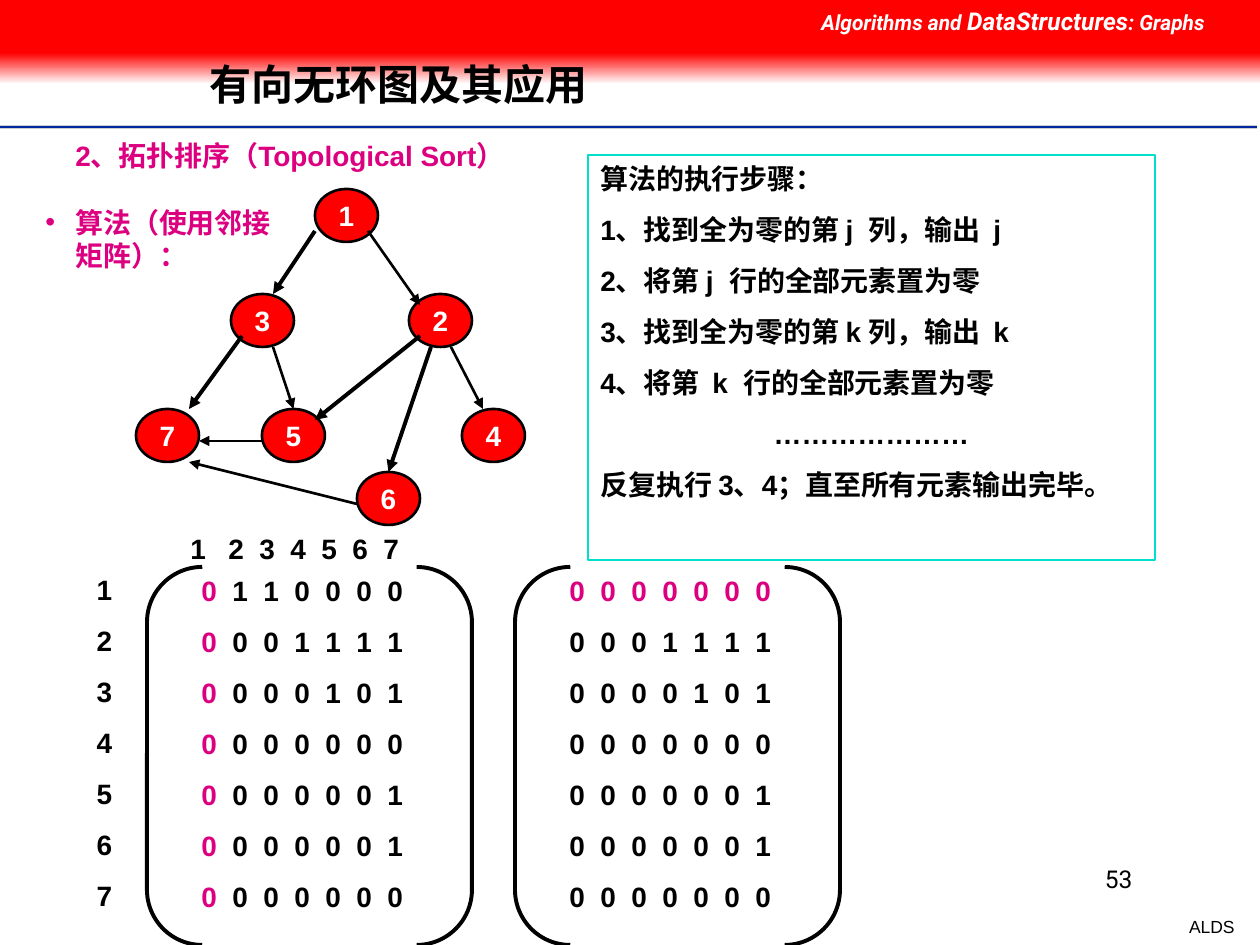
"""Build the topological sort slide with its graph, steps and adjacency matrices."""
from dataclasses import dataclass

from lxml.etree import SubElement
from pptx import Presentation
from pptx.dml.color import RGBColor
from pptx.enum.shapes import MSO_CONNECTOR, MSO_SHAPE
from pptx.enum.text import MSO_ANCHOR, PP_ALIGN
from pptx.oxml.ns import qn
from pptx.util import Pt

PX = 914400 // 126


@dataclass(frozen=True)
class Theme:
    red: str = "FF0000"
    pink: str = "DC0081"
    black: str = "000000"
    white: str = "FFFFFF"
    blue: str = "00279F"
    grey: str = "CECECE"
    teal: str = "00DFCA"
    title: int = 24
    body: int = 16
    page: int = 14
    header: int = 12
    footer: int = 10
    sans: str = "Arial"
    display: str = "Roboto"


theme = Theme()


def style(target, values):
    for name, value in values.items():
        setattr(target, name, value)


def write(box, lines, frame_format, para_format, font_format, tabs=(), bullet=None):
    frame = box.text_frame
    style(frame, frame_format)
    for number, line in enumerate(lines):
        para = frame.add_paragraph() if number else frame.paragraphs[0]
        style(para, para_format)
        if number:
            para.space_before = Pt(10)
        properties = para._p.get_or_add_pPr()
        if bullet:
            properties.set("marL", str(63 * PX))
            properties.set("indent", str(bullet["indent"] * PX))
            if bullet["mark"]:
                color = SubElement(properties, qn("a:buClr"))
                SubElement(color, qn("a:srgbClr"), val=theme.pink)
                SubElement(properties, qn("a:buFont"), typeface=theme.sans)
                SubElement(properties, qn("a:buChar"), char=bullet["mark"])
        if tabs:
            stops = SubElement(properties, qn("a:tabLst"))
            for stop in tabs:
                SubElement(stops, qn("a:tab"), pos=str(stop * PX), algn="l")
        for text, size, color in line:
            span = para.add_run()
            span.text = text
            style(span.font, {"size": Pt(size), **font_format})
            span.font.color.rgb = RGBColor.from_string(color)


deck = Presentation()
style(deck, {"slide_width": 1260 * PX, "slide_height": 945 * PX})
page = deck.slides.add_slide(deck.slide_layouts[5])

bold = {"name": theme.sans, "bold": True}
wrapped = {"word_wrap": True, "vertical_anchor": MSO_ANCHOR.TOP}
centred = {"word_wrap": False, "vertical_anchor": MSO_ANCHOR.MIDDLE}
left = {"alignment": PP_ALIGN.LEFT}
right = {"alignment": PP_ALIGN.RIGHT}
center = {"alignment": PP_ALIGN.CENTER}

node_places = {
    "1": (315, 189), "3": (231, 294), "2": (409, 294), "7": (136, 409),
    "5": (262, 409), "6": (357, 472), "4": (462, 409),
}
shape_rows = [
    ("fade", MSO_SHAPE.RECTANGLE, (0, 53, 1260, 31), theme.red, None, 0),
    ("band", MSO_SHAPE.RECTANGLE, (0, 0, 1260, 53), theme.red, None, 0),
    ("panel", MSO_SHAPE.RECTANGLE, (588, 155, 567, 405), theme.white, theme.teal, 0.75),
    ("first matrix", MSO_SHAPE.DOUBLE_BRACKET, (147, 567, 325, 378), None, theme.black, 2.25),
    ("second matrix", MSO_SHAPE.DOUBLE_BRACKET, (515, 567, 325, 378), None, theme.black, 2.25),
] + [
    (name, MSO_SHAPE.OVAL, (*place, 63, 53), theme.red, theme.black, 1.5)
    for name, place in node_places.items()
]
shapes = {}
for name, kind, place, fill, line, weight in shape_rows:
    shape = page.shapes.add_shape(kind, *[value * PX for value in place])
    shape.shadow.inherit = False
    if fill:
        shape.fill.solid()
        shape.fill.fore_color.rgb = RGBColor.from_string(fill)
    else:
        shape.fill.background()
    if line:
        shape.line.color.rgb = RGBColor.from_string(line)
        shape.line.width = Pt(weight)
    else:
        shape.line.fill.background()
    if kind == MSO_SHAPE.DOUBLE_BRACKET:
        shape.adjustments[0] = 0.17
    shapes[name] = shape

fade = shapes["fade"].fill
fade.gradient()
fade.gradient_angle = 270
for stop, color in zip(fade.gradient_stops, (theme.red, theme.white)):
    stop.color.rgb = RGBColor.from_string(color)

for name in node_places:
    write(shapes[name], [[(name, theme.body, theme.white)]], centred, center, bold)

line_rows = [
    ((0, 127, 1257, 127), theme.grey, 2, False, None),
    ((0, 127, 1257, 127), theme.blue, 1, False, None),
    ((0, 130, 1257, 130), theme.white, 1, False, None),
    ((315, 231, 273, 294), theme.black, 2.25, True, None),
    ((368, 231, 420, 305), theme.black, 1.5, True, None),
    ((242, 336, 189, 409), theme.black, 2.25, True, None),
    ((273, 347, 294, 409), theme.black, 1.5, True, "5"),
    ((431, 347, 388, 472), theme.black, 2.25, True, "6"),
    ((451, 347, 483, 409), theme.black, 1.5, True, None),
    ((420, 336, 315, 420), theme.black, 2.25, True, None),
    ((262, 441, 199, 441), theme.black, 1.5, True, None),
    ((357, 504, 189, 462), theme.black, 1.5, True, None),
]
for ends, color, weight, arrow, target in line_rows:
    connector = page.shapes.add_connector(
        MSO_CONNECTOR.STRAIGHT, *[value * PX for value in ends])
    connector.line.color.rgb = RGBColor.from_string(color)
    connector.line.width = Pt(weight)
    if arrow:
        SubElement(connector.get_or_add_ln(), qn("a:tailEnd"), type="triangle")
    if target:
        connector.end_connect(shapes[target], 0)
    SubElement(connector.element.spPr, qn("a:effectLst"))

title = page.shapes.title
style(title, {"left": 197 * PX, "top": 40 * PX, "width": 951 * PX, "height": 93 * PX})
title.element.getparent().append(title.element)
write(title, [[("有向无环图及其应用", theme.title, theme.black)]],
      {"word_wrap": True, "vertical_anchor": MSO_ANCHOR.MIDDLE},
      {**left, "line_spacing": 0.9}, bold)

steps = [
    ("算法的执行步骤：", PP_ALIGN.LEFT),
    ("1、找到全为零的第 j  列，输出  j", PP_ALIGN.JUSTIFY),
    ("2、将第 j  行的全部元素置为零", PP_ALIGN.JUSTIFY),
    ("3、找到全为零的第 k 列，输出  k", PP_ALIGN.LEFT),
    ("4、将第  k  行的全部元素置为零", PP_ALIGN.LEFT),
    ("…………………", PP_ALIGN.CENTER),
    ("反复执行 3、4；直至所有元素输出完毕。", PP_ALIGN.LEFT),
]
panel = shapes["panel"]
write(panel, [[(text, theme.body, theme.black)] for text, _ in steps], wrapped, left, bold)
for para, (_, alignment) in zip(panel.text_frame.paragraphs, steps):
    para.alignment = alignment

digits = "1234567"
adjacency = ["0110000", "0001111", "0000101", "0000000", "0000001", "0000001", "0000000"]
first_rows = [[(row[0], theme.body, theme.pink),
               ("\t" + "\t".join(row[1:]), theme.body, theme.black)] for row in adjacency]
second_rows = [[("\t".join(row), theme.body, theme.black if number else theme.pink)]
               for number, row in enumerate(["0000000"] + adjacency[1:])]
matrix_tabs = [31 * step for step in range(1, 7)]
heading_tabs = [31] + [38 + stop for stop in matrix_tabs]

text_rows = [
    ((1147, 910, 100, 34), [[("ALDS", theme.footer, theme.black)]],
     wrapped, right, {"name": theme.sans}, (), None),
    ((903, 858, 242, 63), [[("53", theme.page, theme.black)]],
     wrapped, right, {"name": theme.display}, (), None),
    ((809, 0, 451, 43), [[("Algorithms and ", theme.header, theme.white),
                          ("DataStructures", theme.page, theme.white),
                          (": Graphs", theme.header, theme.white)]],
     wrapped, left, {"name": theme.display, "bold": True, "italic": True}, (), None),
    ((0, 132, 609, 47), [[("2、拓扑排序（Topological Sort）", theme.body, theme.pink)]],
     wrapped, {**left, "level": 1}, bold, (), {"indent": 0, "mark": None}),
    ((0, 199, 284, 81), [[("算法（使用邻接矩阵）：", theme.body, theme.pink)]],
     wrapped, {**left, "level": 1}, bold, (), {"indent": -30, "mark": "•"}),
    ((189, 567, 294, 353), first_rows, wrapped, left, bold, matrix_tabs, None),
    ((73, 566, 63, 404), [[(digit, theme.body, theme.black)] for digit in digits],
     wrapped, center, bold, (), None),
    ((147, 525, 273, 47), [[("\t" + "\t".join(digits), theme.body, theme.black)]],
     wrapped, left, bold, heading_tabs, None),
    ((557, 567, 294, 353), second_rows, wrapped, left, bold, matrix_tabs, None),
]
for place, *content in text_rows:
    write(page.shapes.add_textbox(*[value * PX for value in place]), *content)

deck.save("out.pptx")
